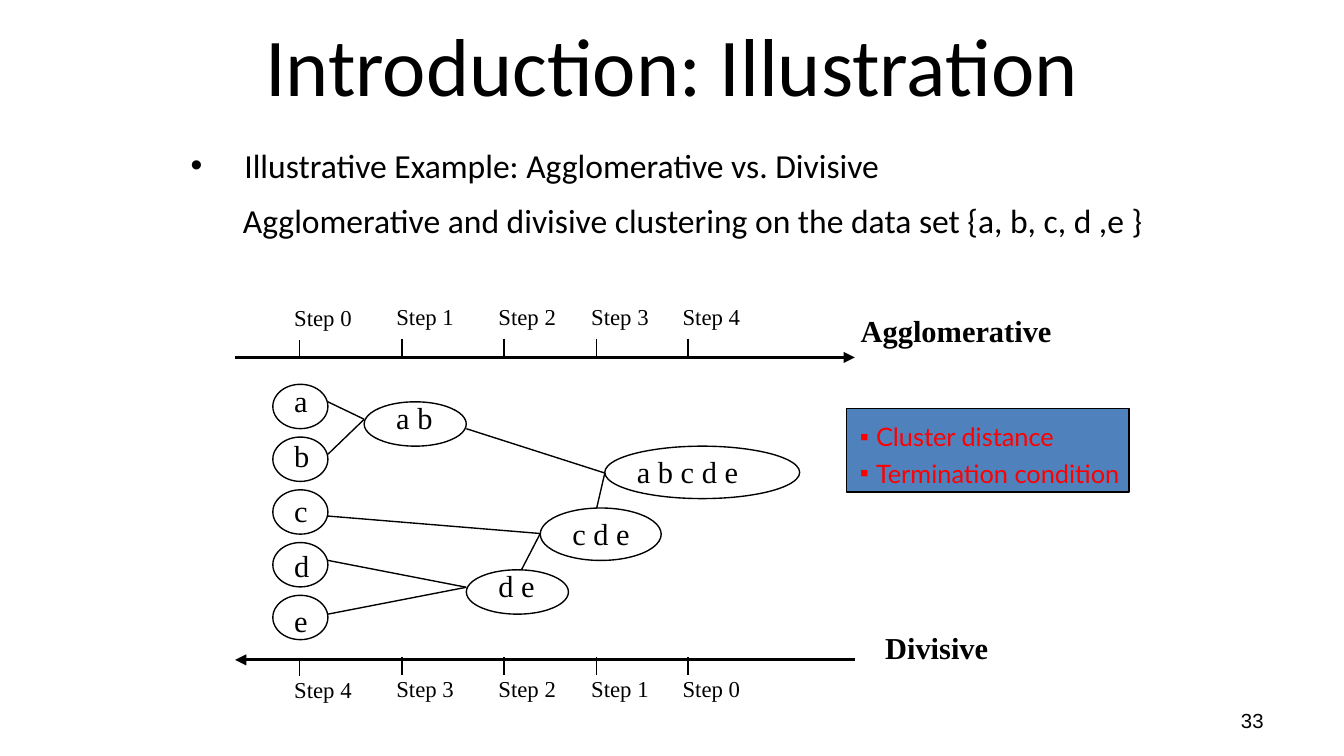
from lxml.etree import SubElement
from pptx import Presentation
from pptx.dml.color import RGBColor
from pptx.enum.shapes import MSO_CONNECTOR, MSO_SHAPE
from pptx.enum.text import MSO_ANCHOR, PP_ALIGN
from pptx.oxml.ns import qn
from pptx.util import Inches, Pt

BLACK = RGBColor(0x00, 0x00, 0x00)
BLUE = RGBColor(0x4F, 0x81, 0xBD)
RED = RGBColor(0xFF, 0x00, 0x00)
SERIF = "Times New Roman"
SLIDE_WIDTH = 10
SLIDE_HEIGHT = SLIDE_WIDTH * 9 / 16

# Content
TITLE = "Introduction: Illustration"
BODY = [  # text, left margin, first-line indent, bullet
    ("Illustrative Example: Agglomerative vs. Divisive", 0.4, -0.4, "•"),
    ("Agglomerative and divisive clustering on the data set {a, b, c, d ,e }", 0.73, -0.34, None),
]
NOTES = ["Cluster distance", "Termination condition"]
STEPS = ["Step 0", "Step 1", "Step 2", "Step 3", "Step 4"]
STEP_X = [2.23, 2.99, 3.75, 4.44, 5.12]
STEP_DROP = [0.01, 0, 0, 0, 0]
AXES = [  # line y, tick top, label top, step names, arrow end
    (2.66, 2.52, 2.2, STEPS, "tailEnd"),
    (4.91, 4.89, 4.97, STEPS[::-1], "headEnd"),
]
AXIS_LEFT, AXIS_RIGHT, TICK = 1.75, 6.36, 0.13
AXIS_NAMES = [("Agglomerative", 6.3, 2.27, 1.63), ("Divisive", 6.48, 4.63, 0.98)]

LEAVES = "abcde"
LEAF_LEFT, LEAF_TOP, LEAF_WIDTH, LEAF_HEIGHT = 2.03, 2.86, 0.41, 0.33
LEAF_PITCH = (4.43 - LEAF_TOP) / (len(LEAVES) - 1)
LABEL_TOP, LABEL_PITCH = 2.79, 0.41
CLUSTERS = {  # ellipse left, top, width, height; label left, top, width
    "a b": (2.71, 2.99, 0.76, 0.33, 2.85, 2.92, 0.47),
    "d e": (3.47, 4.24, 0.76, 0.33, 3.61, 4.17, 0.47),
    "c d e": (4.02, 3.78, 0.9, 0.39, 4.16, 3.78, 0.64),
    "a b c d e": (4.5, 3.32, 1.45, 0.39, 4.64, 3.32, 0.97),
}
ENTRY_Y = {"a b": 3.12, "d e": 4.37, "c d e": 3.97, "a b c d e": 3.52}
LINKS = [  # start x, start y, cluster joined at its left side
    (2.44, 2.99, "a b"), (2.44, 3.38, "a b"),
    (2.44, 4.17, "d e"), (2.44, 4.57, "d e"),
    (2.44, 3.84, "c d e"), (3.88, 4.24, "c d e"),
    (3.47, 3.19, "a b c d e"), (4.44, 3.78, "a b c d e"),
]


def format_paragraph(paragraph, text, font="Calibri", size=18, color=BLACK, bold=False,
                     align=PP_ALIGN.LEFT, spacing=None, before=0,
                     margin=0, indent=0, bullet=None):
    run = paragraph.add_run()
    run.text = text
    run.font.name, run.font.size, run.font.bold = font, Pt(size), bold
    run.font.color.rgb = color
    paragraph.alignment = align
    paragraph.space_before = Pt(before)
    if spacing:
        paragraph.line_spacing = spacing
    properties = paragraph._p.get_or_add_pPr()
    properties.set("marL", str(Inches(margin)))
    properties.set("indent", str(Inches(indent)))
    if bullet:
        SubElement(properties, qn("a:buFont"), typeface="Arial")
        SubElement(properties, qn("a:buChar"), char=bullet)
    else:
        SubElement(properties, qn("a:buNone"))


def add_frame(slide, left, top, width, height, wrap=True):
    box = slide.shapes.add_textbox(Inches(left), Inches(top), Inches(width), Inches(height))
    box.text_frame.word_wrap = wrap
    return box.text_frame


def add_label(slide, text, left, top, width, height=0.38, wrap=False, **style):
    frame = add_frame(slide, left, top, width, height, wrap)
    format_paragraph(frame.paragraphs[0], text, **style)
    return frame


def add_outline(slide, kind, left, top, width, height, fill=None):
    shape = slide.shapes.add_shape(kind, Inches(left), Inches(top), Inches(width), Inches(height))
    shape.shadow.inherit = False
    if fill is None:
        shape.fill.background()
    else:
        shape.fill.solid()
        shape.fill.fore_color.rgb = fill
    shape.line.color.rgb = BLACK
    shape.line.width = Pt(0.75)


def add_line(slide, x1, y1, x2, y2, width=0.75, arrow=None):
    line = slide.shapes.add_connector(
        MSO_CONNECTOR.STRAIGHT, Inches(x1), Inches(y1), Inches(x2), Inches(y2))
    line.line.color.rgb = BLACK
    line.line.width = Pt(width)
    if arrow:
        SubElement(line.line._get_or_add_ln(), qn(f"a:{arrow}"), type="triangle")
    SubElement(line._element.spPr, qn("a:effectLst"))


def main():
    presentation = Presentation()
    presentation.slide_width = Inches(SLIDE_WIDTH)
    presentation.slide_height = Inches(SLIDE_HEIGHT)
    slide = presentation.slides.add_slide(presentation.slide_layouts[5])

    # Title, centred left of its frame's middle by a wide right margin
    title = slide.shapes.title
    title.left, title.top = Inches(1.65), Inches(0)
    title.width, title.height = Inches(7.66), Inches(0.94)
    title.text_frame.margin_right = Inches(1.06)
    title.text_frame.vertical_anchor = MSO_ANCHOR.MIDDLE
    format_paragraph(title.text_frame.paragraphs[0], TITLE, size=44, align=PP_ALIGN.CENTER)

    # Slide number
    number = add_label(slide, "33", 7.17, 5.21, 2.33, 0.3, wrap=True,
                       font="Arial", size=10.9, align=PP_ALIGN.RIGHT)
    number.vertical_anchor = MSO_ANCHOR.MIDDLE

    # Body text
    body = add_frame(slide, 1.32, 1, 7.43, 4.25)
    for index, (text, margin, indent, bullet) in enumerate(BODY):
        paragraph = body.add_paragraph() if index else body.paragraphs[0]
        format_paragraph(paragraph, text, spacing=1.1, before=5.4,
                         margin=margin, indent=indent, bullet=bullet)

    # Notes box
    add_outline(slide, MSO_SHAPE.RECTANGLE, 6.3, 3.04, 2.1, 0.62, fill=BLUE)
    notes = add_frame(slide, 6.3, 3.04, 2.16, 0.65, wrap=False)
    for index, text in enumerate(NOTES):
        paragraph = notes.add_paragraph() if index else notes.paragraphs[0]
        format_paragraph(paragraph, text, font="Lato", size=13.6, color=RED, spacing=1.2,
                         margin=0.12, indent=-0.12, bullet="▪")

    # Step axes
    for line_y, tick_top, label_top, names, arrow in AXES:
        add_line(slide, AXIS_LEFT, line_y, AXIS_RIGHT, line_y, width=1.5, arrow=arrow)
        for x, drop, name in zip(STEP_X, STEP_DROP, names):
            add_line(slide, x, tick_top + drop, x, tick_top + drop + TICK)
            add_label(slide, name, x - 0.14, label_top + drop, 0.69, 0.31, wrap=True,
                      font=SERIF, size=12.2, before=6)
    for name, left, top, width in AXIS_NAMES:
        add_label(slide, name, left, top, width, font=SERIF, size=16.3, bold=True,
                  align=PP_ALIGN.CENTER)

    # Single items and merged clusters
    for index, name in enumerate(LEAVES):
        add_label(slide, name, 2.09, LABEL_TOP + index * LABEL_PITCH, 0.31,
                  font=SERIF, size=16.3)
        add_outline(slide, MSO_SHAPE.OVAL, LEAF_LEFT, LEAF_TOP + index * LEAF_PITCH,
                    LEAF_WIDTH, LEAF_HEIGHT)
    for name, (left, top, width, height, *label_place) in CLUSTERS.items():
        add_label(slide, name, *label_place, font=SERIF, size=16.3)
        add_outline(slide, MSO_SHAPE.OVAL, left, top, width, height)

    # Links between clusters
    for x, y, target in LINKS:
        add_line(slide, x, y, CLUSTERS[target][0], ENTRY_Y[target])

    presentation.save("out.pptx")


if __name__ == "__main__":
    main()
